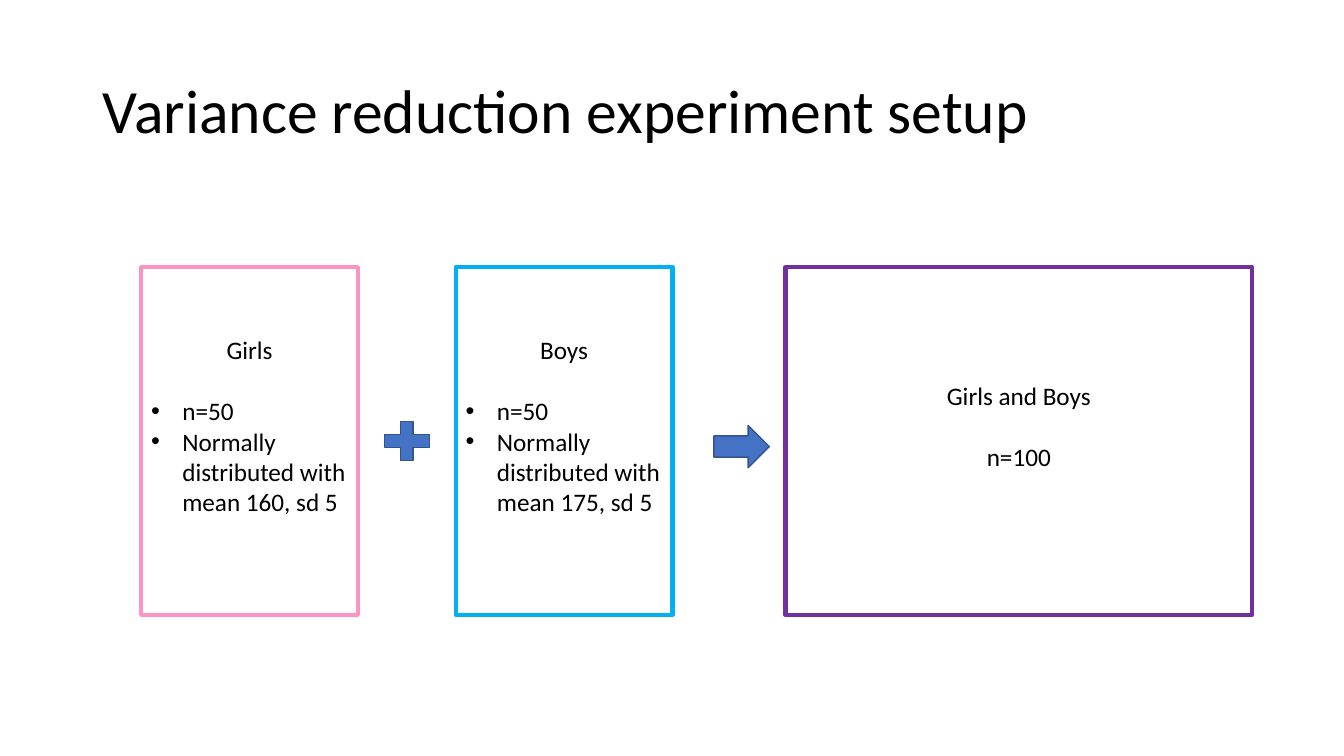
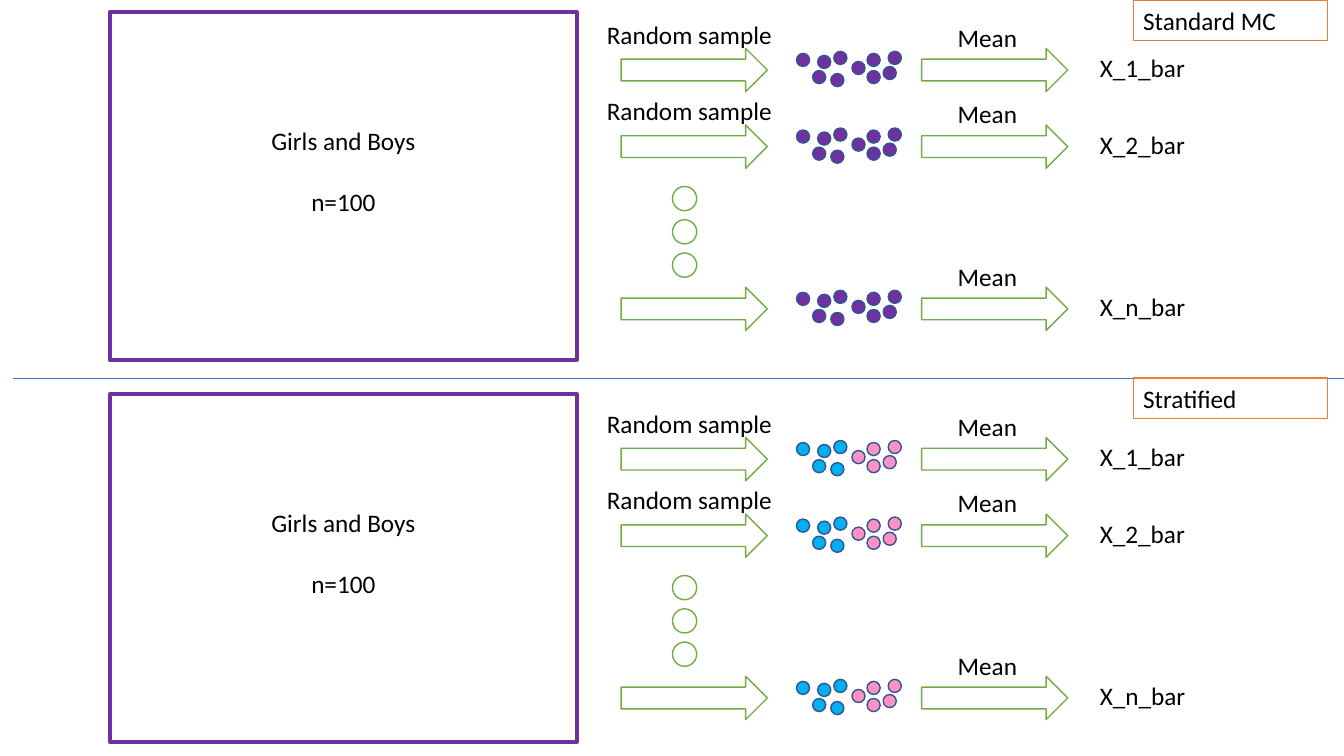
from pptx import Presentation
from pptx.dml.color import RGBColor
from pptx.enum.shapes import MSO_CONNECTOR, MSO_SHAPE
from pptx.enum.text import MSO_ANCHOR, PP_ALIGN
from pptx.util import Inches, Pt
from lxml import etree

RECT, OVAL = MSO_SHAPE.RECTANGLE, MSO_SHAPE.OVAL
ARROW, PLUS = MSO_SHAPE.RIGHT_ARROW, MSO_SHAPE.MATH_PLUS
LEFT, MID = PP_ALIGN.LEFT, PP_ALIGN.CENTER
TOP, CENTER = MSO_ANCHOR.TOP, MSO_ANCHOR.MIDDLE
STRAIGHT = MSO_CONNECTOR.STRAIGHT

BLACK = RGBColor(0, 0, 0)
WHITE = RGBColor(255, 255, 255)
PINK = RGBColor(0xFF, 0x92, 0xC5)
SKY = RGBColor(0x00, 0xB0, 0xF0)
PURPLE = RGBColor(0x70, 0x30, 0xA0)
BLUE = RGBColor(0x44, 0x72, 0xC4)
NAVY = RGBColor(0x32, 0x54, 0x91)
GREEN = RGBColor(0x70, 0xAD, 0x47)
ORANGE = RGBColor(0xED, 0x7D, 0x31)
FONT = "Calibri"
A = "{http://schemas.openxmlformats.org/drawingml/2006/main}"

TITLE = "Variance reduction experiment setup"
GROUPS = [("Girls", 160, PINK, 1.4), ("Boys", 175, SKY, 4.52)]
POOL = ["Girls and Boys", "n=100"]
BOX_H = 3.45
POOL_W = 4.63
LINE = 22

BANDS = [
    ("Standard MC", 0, 0.12, 0.48, PURPLE, PURPLE),
    ("Stratified", 3.75, 3.91, 4.34, SKY, PINK),
]
ROWS = [(0, "Random sample", "X_1_bar"),
        (0.76, "Random sample", "X_2_bar"),
        (2.37, None, "X_n_bar")]
BOY_DOTS = [(7.9, 0.05), (8.06, 0.22), (8.24, 0.25), (8.27, 0.03),
            (8.11, 0.07)]
GIRL_DOTS = [(8.45, 0.13), (8.6, 0.05), (8.6, 0.22), (8.81, 0.03),
             (8.76, 0.18)]


def write(shape, lines, size=18, align=LEFT, anchor=TOP, bullets=False,
          gap=0, foot=0.05, lead=None):
    frame = shape.text_frame
    frame.word_wrap = True
    frame.vertical_anchor = anchor
    frame.margin_bottom = Inches(foot)
    for i, line in enumerate(lines):
        para = frame.paragraphs[0] if i == 0 else frame.add_paragraph()
        para.alignment = LEFT if bullets and i else align
        if lead:
            para.line_spacing = lead
        if i == 0 and gap:
            para.space_after = Pt(gap)
        run = para.add_run()
        run.text = line
        run.font.name = FONT
        run.font.size = Pt(size)
        run.font.color.rgb = BLACK
        if bullets and i:
            props = para._p.get_or_add_pPr()
            props.set("marL", str(Inches(0.31)))
            props.set("indent", str(-Inches(0.31)))
            etree.SubElement(props, A + "buFont").set("typeface", "Arial")
            etree.SubElement(props, A + "buChar").set("char", "•")


def label(slide, lines, x, y, w, h, **style):
    box = slide.shapes.add_textbox(Inches(x), Inches(y), Inches(w), Inches(h))
    write(box, lines, **style)


def draw(slide, kind, x, y, w, h, fill=WHITE, line=NAVY, weight=1):
    shape = slide.shapes.add_shape(
        kind, Inches(x), Inches(y), Inches(w), Inches(h))
    shape.shadow.inherit = False
    shape.fill.solid()
    shape.fill.fore_color.rgb = fill
    shape.line.color.rgb = line
    shape.line.width = Pt(weight)
    return shape


def panel(slide, lines, x, y, w, color, bullets=False):
    box = draw(slide, RECT, x, y, w, BOX_H, line=color, weight=3)
    write(box, lines, align=MID, anchor=CENTER, bullets=bullets,
          gap=LINE, foot=0.05 + LINE / 72)


def sample(slide, y, name, mean, boy, girl):
    for x in (6.16, 9.14):
        draw(slide, ARROW, x, y, 1.45, 0.43, line=GREEN)
    if name:
        label(slide, [name], 5.92, y - 0.34, 2.14, 0.4)
    for dots, color in ((BOY_DOTS, boy), (GIRL_DOTS, girl)):
        for x, dy in dots:
            draw(slide, OVAL, x, y + dy, 0.13, 0.13, fill=color)
    label(slide, ["Mean"], 9.4, y - 0.31, 0.83, 0.4)
    label(slide, [mean], 10.81, y - 0.01, 1.07, 0.4)


deck = Presentation()
deck.slide_width, deck.slide_height = Inches(13.33), Inches(7.5)
blank = deck.slide_layouts[6]

setup = deck.slides.add_slide(blank)
label(setup, [TITLE], 0.92, 0.4, 11.5, 1.45, size=44, anchor=CENTER, lead=0.9)
for name, mean, color, x in GROUPS:
    facts = [name, "n=50", f"Normally distributed with mean {mean}, sd 5"]
    panel(setup, facts, x, 2.65, 2.15, color, bullets=True)
draw(setup, PLUS, 3.73, 4.11, 0.61, 0.53, fill=BLUE)
draw(setup, ARROW, 7.08, 4.22, 0.55, 0.42, fill=BLUE)
panel(setup, POOL, 7.79, 2.65, POOL_W, PURPLE)

trial = deck.slides.add_slide(blank)
rule = trial.shapes.add_connector(
    STRAIGHT, Inches(0.13), Inches(3.75), Inches(13.33), Inches(3.75))
rule.line.color.rgb = BLUE
rule.line.width = Pt(0.5)
etree.SubElement(rule._element.spPr, A + "effectLst")
for tag, tag_y, box_y, row_y, boy, girl in BANDS:
    panel(trial, POOL, 1.09, box_y, POOL_W, PURPLE)
    for dy, name, mean in ROWS:
        sample(trial, row_y + dy, name, mean, boy, girl)
    for i in range(3):
        draw(trial, OVAL, 6.67, row_y + 1.37 + i * 0.33, 0.24, 0.24,
             line=GREEN)
    write(draw(trial, RECT, 11.24, tag_y, 1.93, 0.4, line=ORANGE), [tag])

deck.save("out.pptx")
